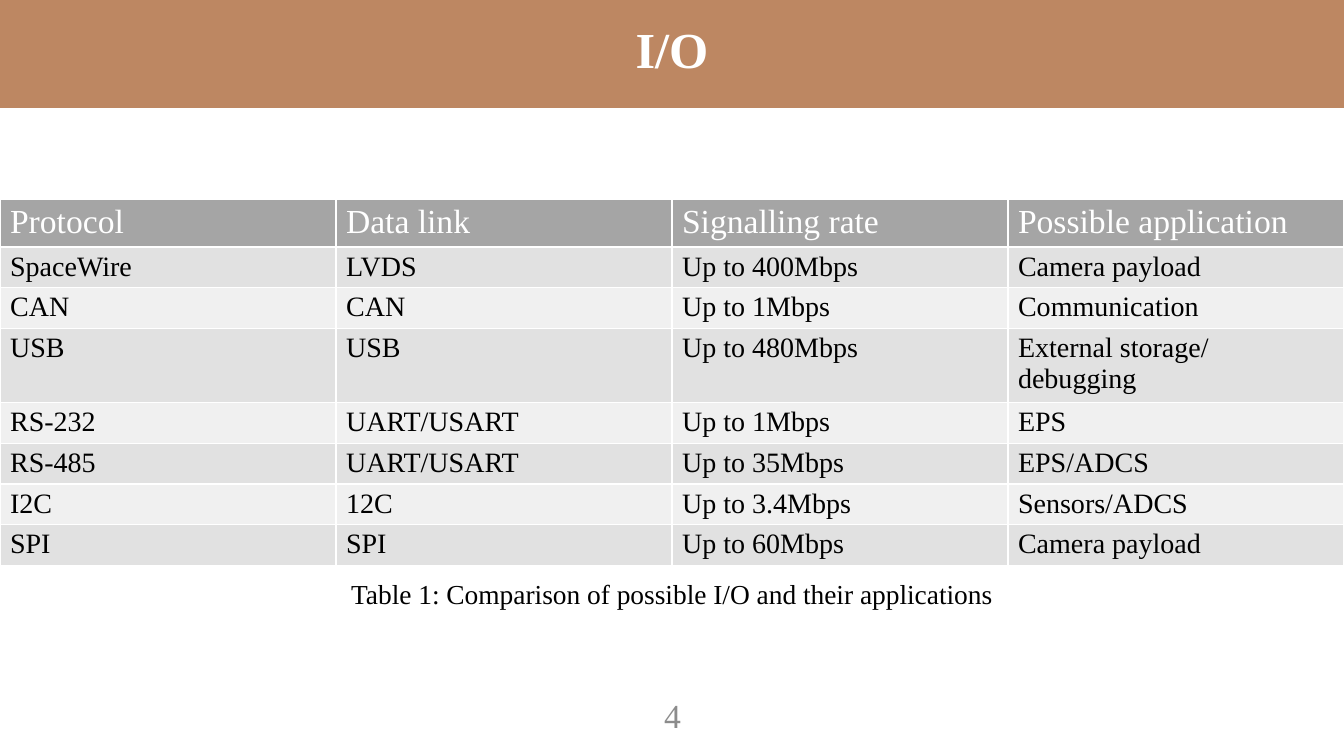
from dataclasses import dataclass

from lxml import etree
from pptx import Presentation
from pptx.dml.color import RGBColor
from pptx.enum.shapes import MSO_SHAPE
from pptx.enum.text import MSO_ANCHOR, PP_ALIGN
from pptx.oxml.ns import qn
from pptx.util import Inches, Pt

RECT = MSO_SHAPE.RECTANGLE
TOP, MIDDLE = MSO_ANCHOR.TOP, MSO_ANCHOR.MIDDLE
CENTER = PP_ALIGN.CENTER
SIDES = ("lnL", "lnR", "lnT", "lnB")


@dataclass(frozen=True)
class Theme:
    """Colours, font and type sizes of the slide."""
    font: str = "Times New Roman"
    banner: str = "9A470E"
    banner_alpha: int = 65
    white: str = "FFFFFF"
    black: str = "000000"
    muted: str = "8C8C8C"
    header: str = "A5A5A5"
    bands: tuple = ("E1E1E1", "F0F0F0")
    title_size: float = 36
    header_size: float = 24
    body_size: float = 20
    caption_size: float = 19.6
    number_size: float = 24


class SlideBuilder:
    """Holds the theme and the current slide."""

    def __init__(self, s, theme):
        """Keep the slide and its theme."""
        self.s, self.theme = s, theme

    def style(self, tf, size, color, bold=False):
        """Format every run of a text frame."""
        for p in tf.paragraphs:
            for r in p.runs:
                r.font.name = self.theme.font
                r.font.size = Pt(size)
                r.font.bold = bold
                r.font.color.rgb = RGBColor.from_string(color)

    def centered(self, sp, text, size, color, anchor=MIDDLE, bold=False):
        """Put centred text into a shape and return its paragraph."""
        tf = sp.text_frame
        tf.text = text
        tf.word_wrap = True
        tf.vertical_anchor = anchor
        p = tf.paragraphs[0]
        p.alignment = CENTER
        self.style(tf, size, color, bold)
        return p

    def banner(self, text, x, y, w, h):
        """Add the translucent title band."""
        t = self.theme
        sp = self.s.shapes.add_shape(RECT, Inches(x), Inches(y), Inches(w), Inches(h))
        sp.shadow.inherit = False
        sp.line.fill.background()
        sp.fill.solid()
        sp.fill.fore_color.rgb = RGBColor.from_string(t.banner)
        clr = sp._element.spPr.find(".//" + qn("a:srgbClr"))
        etree.SubElement(clr, qn("a:alpha"), val=str(t.banner_alpha * 1000))
        p = self.centered(sp, text, t.title_size, t.white, bold=True)
        p.line_spacing = 0.9

    def text(self, text, x, y, w, h, size, color, anchor=MIDDLE):
        """Add a centred text box and return its paragraph."""
        sp = self.s.shapes.add_textbox(Inches(x), Inches(y), Inches(w), Inches(h))
        return self.centered(sp, text, size, color, anchor)

    def borders(self, cell):
        """Draw thin white cell borders."""
        tcPr = cell._tc.get_or_add_tcPr()
        for side in SIDES:
            ln = etree.SubElement(tcPr, qn("a:" + side), w=str(Pt(1)))
            fill = etree.SubElement(ln, qn("a:solidFill"))
            etree.SubElement(fill, qn("a:srgbClr"), val=self.theme.white)

    def table(self, rows, x, y, w, row_h):
        """Add a banded table whose first row is the header."""
        t = self.theme
        n_rows, n_cols = len(rows), len(rows[0])
        tbl = self.s.shapes.add_table(n_rows, n_cols, Inches(x), Inches(y),
                                      Inches(w), Inches(row_h * n_rows)).table
        for i, row in enumerate(rows):
            tbl.rows[i].height = Inches(row_h)
            if i == 0:
                fill, size, color = t.header, t.header_size, t.white
            else:
                fill, size, color = t.bands[(i - 1) % 2], t.body_size, t.black
            for j, text in enumerate(row):
                cell = tbl.cell(i, j)
                cell.text = text
                # Border widths add to the row height, so the margins are tight.
                cell.margin_top, cell.margin_bottom = Inches(0.04), Inches(0.03)
                self.style(cell.text_frame, size, color)
                self.borders(cell)
                cell.fill.solid()
                cell.fill.fore_color.rgb = RGBColor.from_string(fill)


PROTOCOLS = [
    ("Protocol", "Data link", "Signalling rate", "Possible application"),
    ("SpaceWire", "LVDS", "Up to 400Mbps", "Camera payload"),
    ("CAN", "CAN", "Up to 1Mbps", "Communication"),
    ("USB", "USB", "Up to 480Mbps", "External storage/ debugging"),
    ("RS-232", "UART/USART", "Up to 1Mbps", "EPS"),
    ("RS-485", "UART/USART", "Up to 35Mbps", "EPS/ADCS"),
    ("I2C", "12C", "Up to 3.4Mbps", "Sensors/ADCS"),
    ("SPI", "SPI", "Up to 60Mbps", "Camera payload"),
]
WIDTH = 13.33


def main():
    """Build and save the slide."""
    prs = Presentation()
    prs.slide_width, prs.slide_height = Inches(WIDTH), Inches(7.5)
    theme = Theme()
    b = SlideBuilder(prs.slides.add_slide(prs.slide_layouts[6]), theme)
    b.banner("I/O", 0, -0.04, WIDTH, 1.11)
    b.text("4", 5.17, 6.89, 3, 0.4, theme.number_size, theme.muted)
    caption = b.text("Table 1: Comparison of possible I/O and their applications",
                     0, 5.77, WIDTH, 0.37, theme.caption_size, theme.black, TOP)
    caption.line_spacing = 0.7
    caption.space_before = Pt(10)
    b.table(PROTOCOLS, 0, 1.98, WIDTH, 0.4)
    prs.save("out.pptx")


main()
